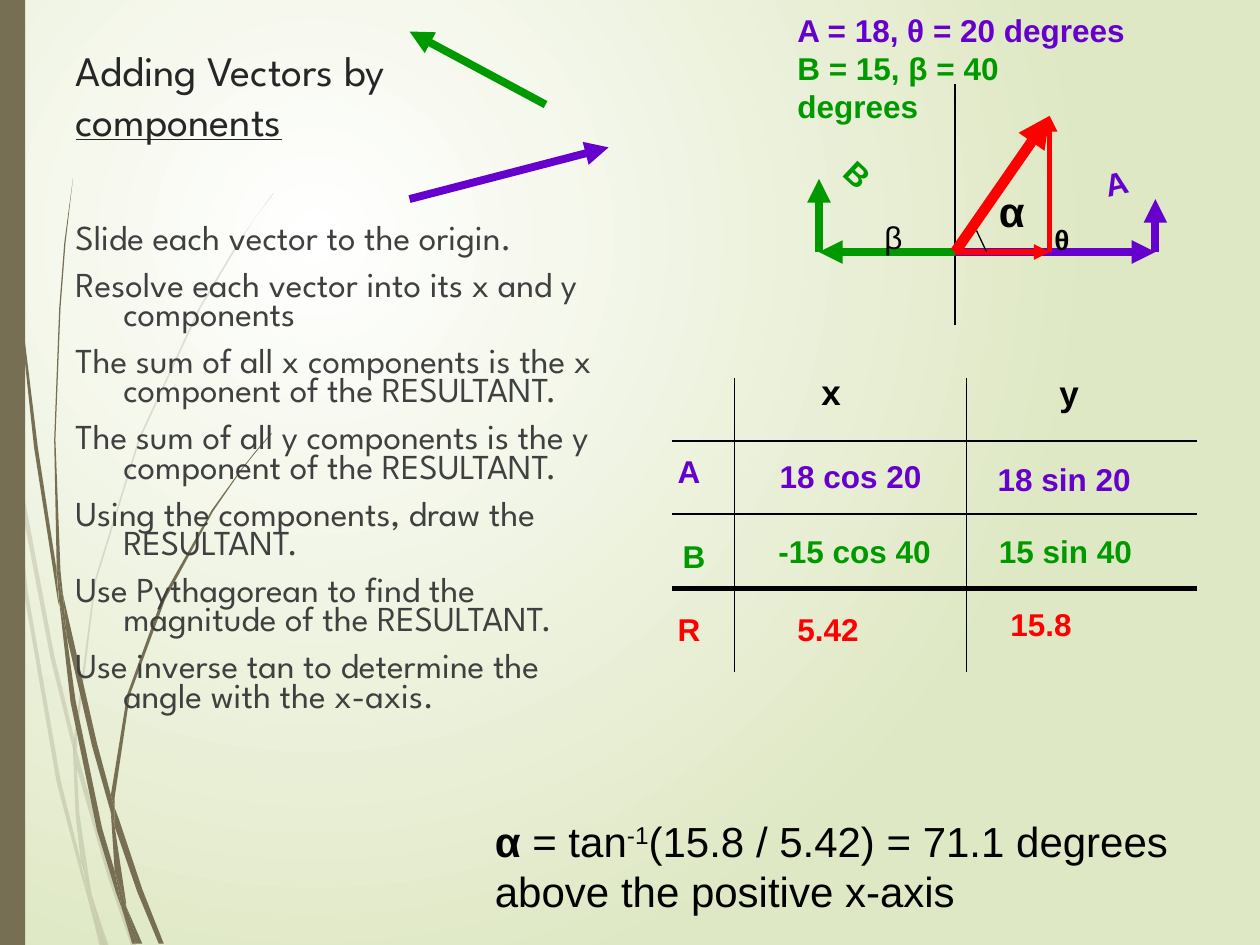
import pptx
import pptx.dml.color
import pptx.enum.shapes
import pptx.enum.text
import pptx.oxml
import pptx.oxml.ns
import pptx.util
from pptx.util import Inches

# Content
HEADING, SANS = "League Spartan", "Arial"
OLIVE, BLACK = "766F54", "000000"
PURPLE, GREEN, RED = "6600CC", "009900", "FF0000"

TITLE = [("Adding Vectors by ", {}), ("components", {"underline": True})]
STEPS = [
    "Slide each vector to the origin.",
    "Resolve each vector into its x and y components",
    "The sum of all x components is the x component of the RESULTANT.",
    "The sum of all y components is the y component of the RESULTANT.",
    "Using the components, draw the RESULTANT.",
    "Use Pythagorean to find the magnitude of the RESULTANT.",
    "Use inverse tan to determine the angle with the x-axis.",
]
GIVENS = [("A = 18, θ = 20 degrees", PURPLE), ("B = 15, β = 40 degrees", GREEN)]
ANSWER = [
    ("α", {"bold": True}), (" = tan", {}), ("-1", {"superscript": True}),
    ("(15.8 / 5.42) = 71.1 degrees above the positive x-axis", {}),
]

# Outlines of the grass blades in inches, pale ones behind
PALE_BLADES = [
    [(0.08, 3.5), (0.06, 3.22), (0, 2.82), (0, 2.99), (0.07, 3.44)],
    [(0.4, 5.22), (0.59, 5.99), (0.59, 5.86), (0.43, 5.2), (0.1, 3.45), (0.12, 3.76)],
    [(0.64, 6.07), (0.61, 5.96), (0.61, 6.1), (0.85, 6.94), (1.04, 7.5), (1.08, 7.5), (0.88, 6.92)],
    [(0.83, 7.5), (0.86, 7.5), (0.73, 7.11)],
    [(0.64, 6.83), (0.48, 6.19), (0.22, 4.69), (0.12, 3.76), (0.08, 3.5), (0.19, 4.7),
     (0.45, 6.21), (0.64, 6.93), (0.7, 7.14), (0.69, 7.07)],
    [(0.58, 5.99), (0.6, 6.46), (0.64, 6.83), (0.67, 6.92), (0.73, 7.11), (0.72, 7.06),
     (0.63, 6.46), (0.61, 6.1), (0.61, 6.08)],
    [(0.61, 5.84), (0.76, 4.62), (1.11, 3.49), (1.59, 2.45), (1.87, 1.98), (2.01, 1.75),
     (2.17, 1.54), (2.17, 1.53), (2.01, 1.75), (1.86, 1.97), (1.58, 2.44), (1.1, 3.48),
     (0.75, 4.61), (0.59, 5.84), (0.59, 5.86), (0.61, 5.96)],
    [(0.7, 7.14), (0.79, 7.5), (0.82, 7.5)],
    [(0.61, 6.08), (0.61, 6.1), (0.61, 5.96), (0.59, 5.86), (0.58, 5.99)],
    [(0.67, 6.92), (0.65, 6.83), (0.69, 7.07), (0.7, 7.14), (0.82, 7.5), (0.83, 7.5), (0.73, 7.11)],
]
DARK_BLADES = [
    [(0.05, 1.1), (0.14, 2.33), (0.27, 3.55), (0.46, 4.77), (0.47, 4.81), (0.45, 4.57),
     (0.45, 4.53), (0.3, 3.55), (0.15, 2.32), (0.06, 1.09), (0.04, 0.48), (0.03, 0),
     (0.02, 0), (0.03, 0.48)],
    [(0.73, 5.92), (0.88, 6.45), (0.88, 6.33), (0.88, 6.31), (0.77, 5.9), (0.5, 4.72), (0.53, 5.05)],
    [(0.94, 6.49), (0.91, 6.41), (0.91, 6.56), (1.09, 7.08), (1.26, 7.49), (1.3, 7.49), (1.13, 7.06)],
    [(0.91, 6.91), (0.81, 6.57), (0.6, 5.56), (0.53, 5.05), (0.47, 4.77), (0.56, 5.57),
     (0.77, 6.59), (0.92, 7.08), (0.97, 7.22), (0.96, 7.17)],
    [(0.5, 4.72), (0.48, 4.53), (0.44, 3.49), (0.48, 2.45), (0.52, 1.93), (0.58, 1.41),
     (0.51, 1.93), (0.47, 2.45), (0.43, 3.49), (0.45, 4.49), (0.49, 4.72)],
    [(1.1, 7.49), (1.13, 7.49), (1, 7.19)],
    [(0.47, 4.77), (0.53, 5.05), (0.5, 4.72), (0.49, 4.72), (0.45, 4.49), (0.45, 4.53)],
    [(0.91, 6.33), (1.03, 5.52), (1.31, 4.76), (1.69, 4.06), (1.91, 3.74), (2.03, 3.59),
     (2.16, 3.44), (2.15, 3.44), (2.03, 3.58), (1.91, 3.73), (1.68, 4.05), (1.29, 4.74),
     (1.01, 5.51), (0.88, 6.31), (0.91, 6.41)],
    [(0.97, 7.22), (1.05, 7.49), (1.08, 7.49)],
    [(0.88, 6.45), (0.91, 6.91), (0.96, 7.06), (1, 7.19), (1, 7.16), (0.91, 6.56), (0.9, 6.51)],
    [(0.88, 6.45), (0.9, 6.51), (0.91, 6.56), (0.91, 6.41), (0.88, 6.31), (0.88, 6.33)],
    [(0.96, 7.06), (0.91, 6.91), (0.96, 7.17), (0.97, 7.22), (1.08, 7.49), (1.1, 7.49), (1, 7.19)],
]

# Lines: start, end, colour, width
ORIGIN, TIP, FOOT = (7.58, 2), (8.33, 0.92), (8.33, 2)
A_END, B_END = (9.17, 2), (6.5, 2)
AXES = [((7.58, 0.67), (7.58, 2.58), BLACK, 0.75), ((6.58, 2), (8.83, 2), BLACK, 0.75)]
VECTORS = [
    ((4.33, 0.83), (3.25, 0.25), GREEN, 4.5), ((3.25, 1.58), (4.83, 1.17), PURPLE, 4.5),
    (ORIGIN, A_END, PURPLE, 4.5), (A_END, (9.17, 1.58), PURPLE, 4.5),
    (ORIGIN, B_END, GREEN, 4.5), (B_END, (6.5, 1.42), GREEN, 4.5),
]
RESULTANT = [(ORIGIN, TIP, RED, 6), (ORIGIN, FOOT, RED, 3), (FOOT, TIP, RED, 3)]
GRID_ROWS = [(3.5, 0.75), (4.08, 0.75), (4.67, 3)]
GRID_COLUMNS = [5.83, 7.67]

# Labels: text, left, top, width, height, size, colour, bold, rotation
LABELS = [
    ("θ", 8.27, 1.72, 0.32, 0.37, 16, BLACK, True, 0),
    ("β", 6.92, 1.68, 0.34, 0.4, 18, BLACK, False, 0),
    ("A", 5.28, 3.54, 0.38, 0.4, 18, PURPLE, True, 0),
    ("B", 5.32, 4.21, 0.38, 0.4, 18, GREEN, True, 0),
    ("R", 5.28, 4.79, 0.38, 0.4, 18, RED, True, 0),
    ("x", 6.42, 2.89, 0.36, 0.43, 20, BLACK, True, 0),
    ("y", 8.31, 2.9, 0.36, 0.43, 20, BLACK, True, 0),
    ("18 cos 20", 6.09, 3.58, 1.33, 0.4, 18, PURPLE, True, 0),
    ("18 sin 20", 7.82, 3.6, 1.26, 0.4, 18, PURPLE, True, 0),
    ("-15 cos 40", 6.08, 4.17, 1.41, 0.4, 18, GREEN, True, 0),
    ("15 sin 40", 7.83, 4.17, 1.26, 0.4, 18, GREEN, True, 0),
    ("5.42", 6.23, 4.79, 0.69, 0.4, 18, RED, True, 0),
    ("15.8", 7.92, 4.75, 0.69, 0.4, 18, RED, True, 0),
    ("α", 7.83, 1.42, 0.41, 0.5, 24, BLACK, True, 0),
    ("A", 8.67, 1.25, 0.42, 0.4, 18, PURPLE, True, 347.5),
    ("B", 6.62, 1.18, 0.38, 0.4, 18, GREEN, True, 43.3),
]


def rgb(value):
    return pptx.dml.color.RGBColor.from_string(value)


def add_xml(parent, tag, **attributes):
    child = pptx.oxml.ns.qn(tag)
    element = parent.makeelement(child, attributes)
    parent.append(element)
    return element


def style(font, name, size, color, bold=False):
    font.name, font.size, font.bold = name, pptx.util.Pt(size), bold
    font.color.rgb = rgb(color)


def add_outline(shapes, points, close=True):
    corners = [(Inches(x), Inches(y)) for x, y in points]
    builder = shapes.build_freeform(*corners[0])
    builder.add_line_segments(corners[1:], close=close)
    shape = builder.convert_to_shape()
    shape.shadow.inherit = False
    return shape


def fill_plain(shape, color, opacity=100):
    shape.fill.solid()
    shape.fill.fore_color.rgb = rgb(color)
    shape.line.fill.background()
    if opacity < 100:
        color_element = shape.element.spPr.find(".//" + pptx.oxml.ns.qn("a:srgbClr"))
        add_xml(color_element, "a:alpha", val=str(opacity * 1000))


def add_line(shapes, start, end, color, width, arrow=False):
    straight = pptx.enum.shapes.MSO_CONNECTOR.STRAIGHT
    line = shapes.add_connector(straight, *[Inches(v) for v in start + end])
    line.line.color.rgb = rgb(color)
    line.line.width = pptx.util.Pt(width)
    if arrow:
        add_xml(line.line._get_or_add_ln(), "a:tailEnd", type="triangle")
    add_xml(line.element.spPr, "a:effectLst")


def add_text(shapes, left, top, width, height, wrap=True):
    box = shapes.add_textbox(*[Inches(v) for v in (left, top, width, height)])
    box.text_frame.word_wrap = wrap
    return box


def main():
    presentation = pptx.Presentation()
    presentation.slide_width, presentation.slide_height = Inches(10), Inches(7.5)
    slide = presentation.slides.add_slide(presentation.slide_layouts[5])
    shapes = slide.shapes

    # Background: white glow fading to pale green
    fill = slide.background.fill
    fill.gradient()
    for stop, color in zip(fill.gradient_stops, ("FFFFFF", "DFE8C4")):
        stop.color.rgb = rgb(color)
    gradient = slide.element.find(".//" + pptx.oxml.ns.qn("a:gradFill"))
    gradient.remove(gradient.find(pptx.oxml.ns.qn("a:lin")))
    glow = add_xml(gradient, "a:path", path="circle")
    add_xml(glow, "a:fillToRect", l="50000", t="50000", r="100000", b="100000")

    # Grass blades and side bar
    for blades, opacity in ((PALE_BLADES, 20), (DARK_BLADES, 100)):
        for blade in blades:
            fill_plain(add_outline(shapes, blade), OLIVE, opacity)
    bar = shapes.add_shape(pptx.enum.shapes.MSO_SHAPE.RECTANGLE, 0, 0, Inches(0.2), Inches(7.5))
    bar.shadow.inherit = False
    fill_plain(bar, OLIVE)

    # Title, in front of the grass
    title = shapes.title
    shapes.element.append(title.element)
    title.left, title.top, title.width, title.height = [Inches(v) for v in (0.5, 0.3, 3.17, 1.37)]
    title.text_frame.auto_size = pptx.enum.text.MSO_AUTO_SIZE.NONE
    title.text_frame.vertical_anchor = pptx.enum.text.MSO_ANCHOR.TOP
    paragraph = title.text_frame.paragraphs[0]
    paragraph.alignment = pptx.enum.text.PP_ALIGN.LEFT
    for text, options in TITLE:
        run = paragraph.add_run()
        run.text = text
        style(run.font, HEADING, 24, "262626")
        run.font.underline = options.get("underline")

    # Steps with hanging indents
    steps = add_text(shapes, 0.5, 1.75, 4.42, 4.95).text_frame
    steps.text = "\n".join(STEPS)
    for number, paragraph in enumerate(steps.paragraphs):
        properties = paragraph._p.get_or_add_pPr()
        properties.set("marL", str(Inches(0.38)))
        properties.set("indent", str(-Inches(0.38)))
        paragraph.line_spacing = 0.7
        paragraph.space_before = pptx.util.Pt(10 if number else 0)
        style(paragraph.runs[0].font, HEADING, 20, "404040")

    # Vector diagram and component grid
    for line in AXES:
        add_line(shapes, *line)
    for line in VECTORS:
        add_line(shapes, *line, arrow=True)
    for y, width in GRID_ROWS:
        add_line(shapes, (5.33, y), (9.5, y), BLACK, width)
    for x in GRID_COLUMNS:
        add_line(shapes, (x, 3), (x, 5.33), BLACK, 0.75)
    for line in RESULTANT:
        add_line(shapes, *line, arrow=True)
    angle = add_outline(shapes, [(7.83, 2), (7.75, 1.83)], close=False)
    angle.fill.background()
    angle.line.color.rgb = rgb(BLACK)
    angle.line.width = pptx.util.Pt(0.75)

    # Labels
    for text, left, top, width, height, size, color, bold, rotation in LABELS:
        label = add_text(shapes, left, top, width, height, wrap=False)
        label.rotation = rotation
        label.text_frame.text = text
        style(label.text_frame.paragraphs[0].runs[0].font, SANS, size, color, bold)

    # Given values and answer
    givens = add_text(shapes, 6.23, 0.04, 2.81, 0.7).text_frame
    givens.text = "\n".join(text for text, _ in GIVENS)
    for paragraph, (_, color) in zip(givens.paragraphs, GIVENS):
        style(paragraph.runs[0].font, SANS, 18, color, True)
    answer = add_text(shapes, 3.83, 6.42, 5.83, 0.91).text_frame.paragraphs[0]
    for text, options in ANSWER:
        run = answer.add_run()
        run.text = text
        style(run.font, SANS, 24, BLACK, options.get("bold", False))
        if options.get("superscript"):
            run.font._element.set("baseline", "30000")

    presentation.save("out.pptx")


if __name__ == "__main__":
    main()
